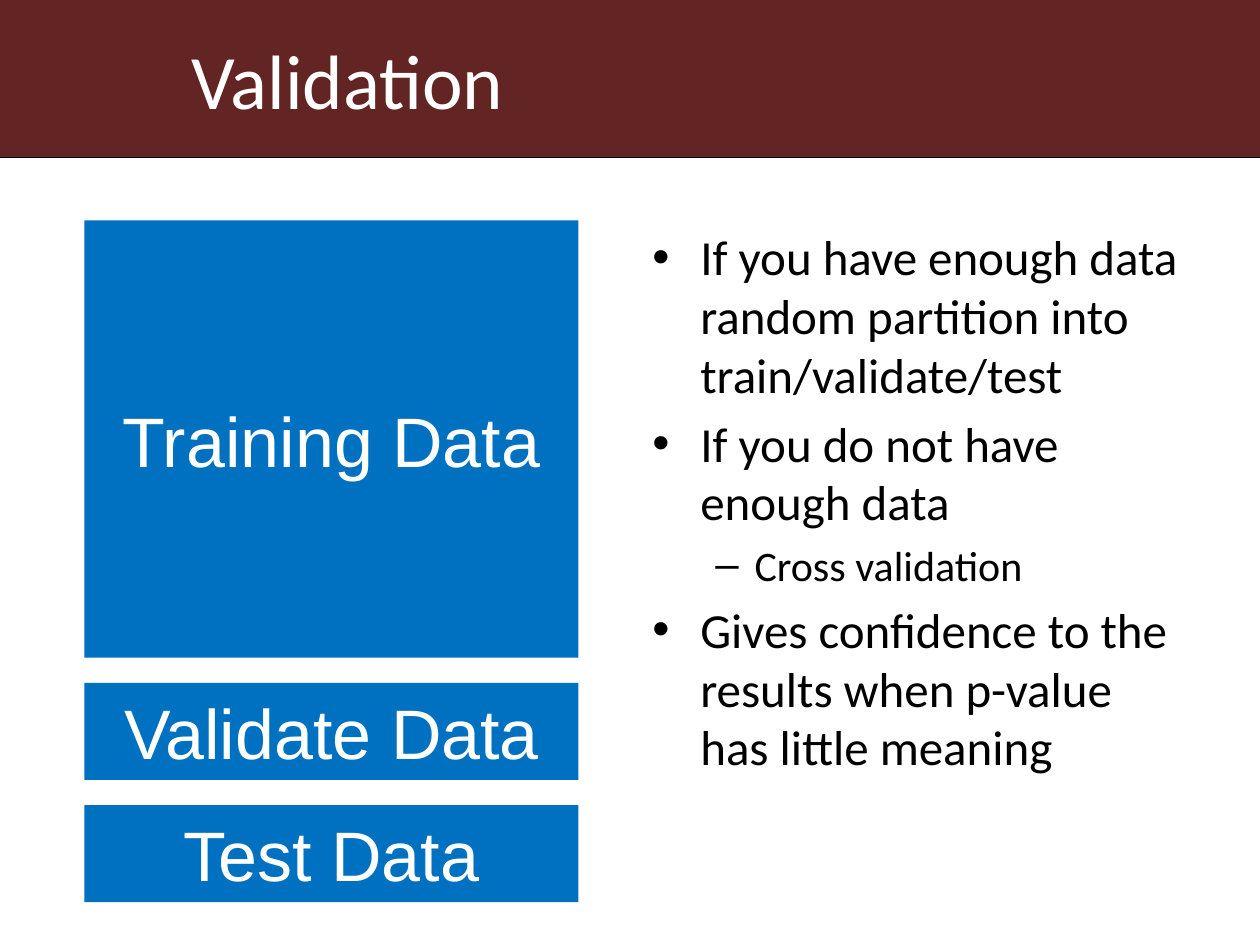
from lxml import etree
from pptx import Presentation
from pptx.dml.color import RGBColor
from pptx.enum.shapes import MSO_CONNECTOR, MSO_SHAPE
from pptx.enum.text import MSO_ANCHOR, PP_ALIGN
from pptx.oxml.ns import qn
from pptx.util import Inches, Pt

RECT = MSO_SHAPE.RECTANGLE
STRAIGHT = MSO_CONNECTOR.STRAIGHT
MIDDLE = MSO_ANCHOR.MIDDLE
CENTER = PP_ALIGN.CENTER

COLORS = {"band": "632523", "box": "0070C0", "light": "FFFFFF", "dark": "000000"}


def add_rect(left, top, width, height, color):
    sp = s.shapes.add_shape(RECT, Inches(left), Inches(top), Inches(width), Inches(height))
    sp.shadow.inherit = False
    sp.fill.solid()
    sp.fill.fore_color.rgb = RGBColor.from_string(COLORS[color])
    sp.line.fill.background()
    return sp


def add_run(p, text, size, font, color):
    r = p.add_run()
    r.text = text
    r.font.size = Pt(size)
    r.font.name = font
    r.font.color.rgb = RGBColor.from_string(COLORS[color])


prs = Presentation()
prs.slide_width = Inches(10)
prs.slide_height = Inches(7.5)
s = prs.slides.add_slide(prs.slide_layouts[6])

add_rect(0, 0, 10, 1.25, "band")
rule = s.shapes.add_connector(STRAIGHT, 0, Inches(1.25), Inches(10), Inches(1.25))
rule.line.color.rgb = RGBColor.from_string(COLORS["dark"])
rule.line.width = Pt(0.75)
etree.SubElement(rule._element.spPr, qn("a:effectLst"))

title = s.shapes.add_textbox(Inches(1.42), 0, Inches(8.58), Inches(1.25))
tf = title.text_frame
tf.word_wrap = True
tf.vertical_anchor = MIDDLE
add_run(tf.paragraphs[0], "Validation", 44, "Calibri", "light")

body = s.shapes.add_textbox(Inches(5.08), Inches(1.75), Inches(4.42), Inches(4.95))
tf = body.text_frame
tf.word_wrap = True
levels = [("•", 0.38, 0.38, 28), ("–", 0.81, 0.31, 24)]
points = [
    (0, "If you have enough data random partition into train/validate/test"),
    (0, "If you do not have enough data"),
    (1, "Cross validation"),
    (0, "Gives confidence to the results when p-value has little meaning"),
]
for i, (level, text) in enumerate(points):
    bullet, margin, hanging, size = levels[level]
    p = tf.add_paragraph() if i else tf.paragraphs[0]
    p.level = level
    pPr = p._p.get_or_add_pPr()
    pPr.set("marL", str(Inches(margin)))
    pPr.set("indent", str(-Inches(hanging)))
    etree.SubElement(pPr, qn("a:buFont")).set("typeface", "Arial")
    etree.SubElement(pPr, qn("a:buChar")).set("char", bullet)
    if i:
        p.space_before = Pt(size * 0.2)
    add_run(p, text, size, "Calibri", "dark")

top = 1.75
for text, height in [("Training Data", 3.47), ("Validate Data", 0.77), ("Test Data", 0.77)]:
    tf = add_rect(0.67, top, 3.92, height, "box").text_frame
    tf.word_wrap = True
    tf.vertical_anchor = MIDDLE
    p = tf.paragraphs[0]
    p.alignment = CENTER
    add_run(p, text, 40, "Arial", "light")
    top += height + 0.2

prs.save("out.pptx")
